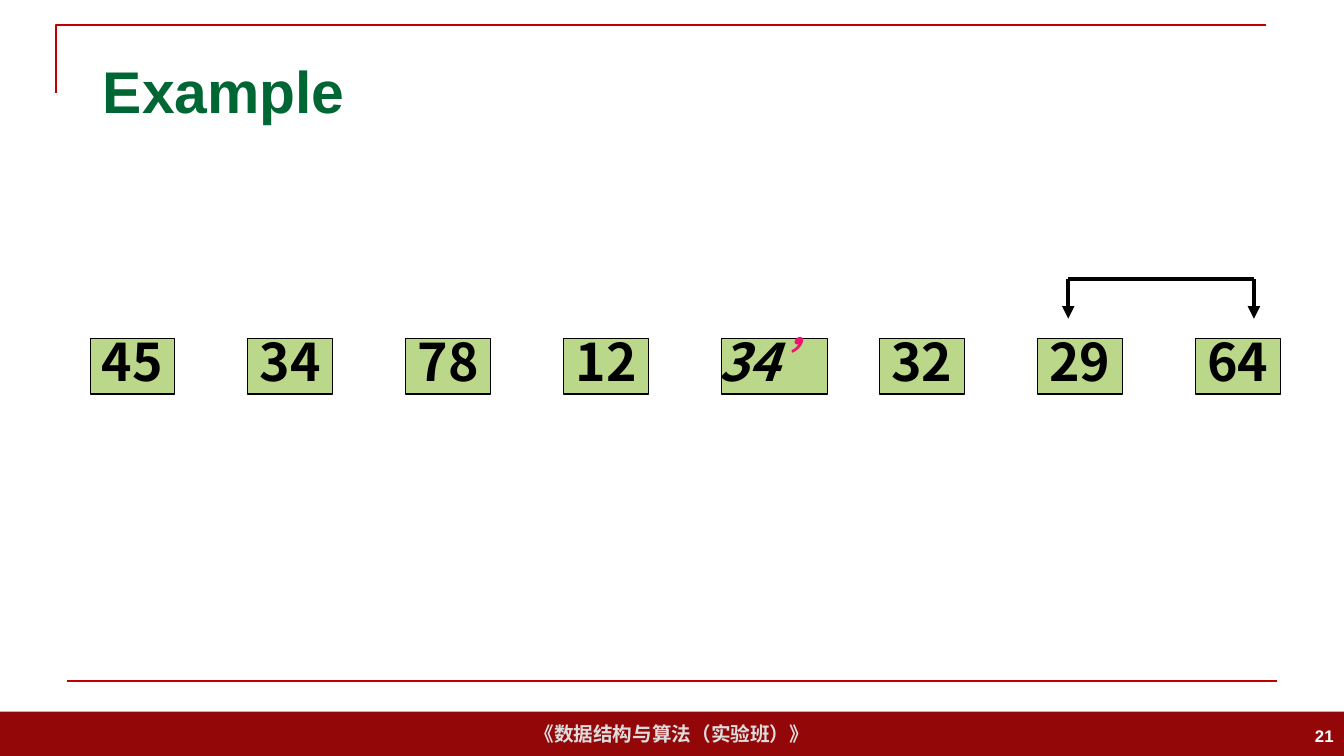
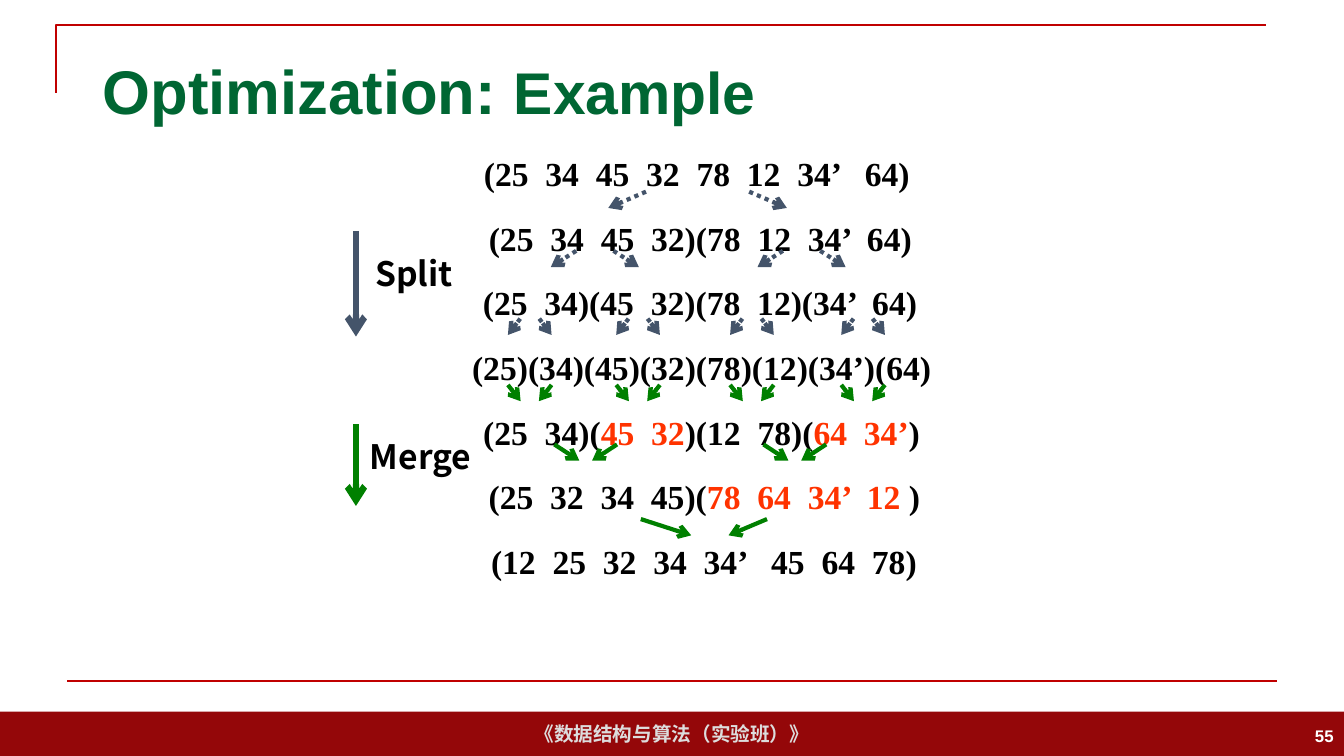
import dataclasses

import lxml.etree
import pptx
import pptx.dml.color
import pptx.enum.dml
import pptx.enum.shapes
import pptx.enum.text
import pptx.oxml.ns
import pptx.util

Cm = pptx.util.Cm
Pt = pptx.util.Pt
ALIGN = pptx.enum.text.PP_ALIGN
MIDDLE = pptx.enum.text.MSO_ANCHOR.MIDDLE
qn = pptx.oxml.ns.qn


@dataclasses.dataclass(frozen=True)
class Theme:
    sans: str = "Arial"
    serif: str = "Times New Roman"
    label: str = "Noto Sans CJK SC"
    black: str = "000000"
    white: str = "FFFFFF"
    band: str = "940709"
    rule: str = "C00000"
    title: str = "006633"
    foot: str = "DDDDDD"
    cell: str = "BBD789"
    prime: str = "ED1370"
    split: str = "44546A"
    merge: str = "008000"
    swap: str = "FF3300"
    head_size: int = 42
    lead_size: int = 44
    cell_size: int = 37
    row_size: int = 24
    foot_size: int = 14
    page_size: int = 12


LOOK = Theme()


def tint(code):
    return pptx.dml.color.RGBColor.from_string(code)


def say(frame, text, font=LOOK.sans, size=LOOK.row_size, color=LOOK.black,
        align=ALIGN.CENTER, slant=None, space=None, wrap=True):
    frame.word_wrap = wrap
    frame.auto_size = pptx.enum.text.MSO_AUTO_SIZE.NONE
    frame.vertical_anchor = MIDDLE
    line = frame.paragraphs[0]
    line.alignment = align
    line.line_spacing = space
    for part in [(text, {})] if isinstance(text, str) else text:
        words, own = part
        run = line.add_run()
        run.text = words
        run.font.bold = True
        run.font.italic = slant
        run.font.size = Pt(own.get("size", size))
        run.font.color.rgb = tint(own.get("color", color))
        run.font.name = font
        east = lxml.etree.SubElement(run.font._element, qn("a:ea"))
        east.set("typeface", font)


def add_text(slide, text, left, top, width, height, **form):
    box = slide.shapes.add_textbox(Cm(left), Cm(top), Cm(width), Cm(height))
    say(box.text_frame, text, **form)
    return box


def add_box(slide, left, top, width, height, fill, edge=None):
    kind = pptx.enum.shapes.MSO_SHAPE.RECTANGLE
    box = slide.shapes.add_shape(kind, Cm(left), Cm(top), Cm(width), Cm(height))
    box.shadow.inherit = False
    box.fill.solid()
    box.fill.fore_color.rgb = tint(fill)
    if edge:
        box.line.color.rgb = tint(edge)
        box.line.width = Pt(0.75)
    else:
        box.line.fill.background()
    return box


def add_line(slide, start, end, color, width, head=None, dots=False):
    kind = pptx.enum.shapes.MSO_CONNECTOR.STRAIGHT
    line = slide.shapes.add_connector(kind, *map(Cm, start + end))
    line.line.color.rgb = tint(color)
    line.line.width = Pt(width)
    if dots:
        line.line.dash_style = pptx.enum.dml.MSO_LINE.ROUND_DOT
    props = line.element.spPr
    if head:
        tail = lxml.etree.SubElement(props.find(qn("a:ln")), qn("a:tailEnd"))
        tail.set("type", head)
    lxml.etree.SubElement(props, qn("a:effectLst"))
    return line


def add_edge(slide):
    pen = slide.shapes.build_freeform(Cm(1.42), Cm(2.34))
    pen.add_line_segments(
        [(Cm(1.42), Cm(0.64)), (Cm(31.9), Cm(0.64))], close=False)
    edge = pen.convert_to_shape()
    edge.shadow.inherit = False
    edge.fill.background()
    edge.line.color.rgb = tint(LOOK.rule)
    edge.line.width = Pt(1.5)
    return edge


def set_layout(deck, layout):
    for holder in list(layout.placeholders):
        if holder.placeholder_format.idx:
            holder.element.getparent().remove(holder.element)
    title = layout.placeholders[0]
    title.left, title.top = Cm(2.34), Cm(1.02)
    title.width, title.height = Cm(29.21), Cm(2.51)

    draft = deck.slides.add_slide(layout)
    band = add_box(draft, 0, 17.93, 33.87, 1.12, LOOK.band)
    say(band.text_frame, "《数据结构与算法（实验班）》", size=LOOK.foot_size,
        color=LOOK.foot, wrap=False)
    rule = add_line(draft, (1.7, 17.15), (32.18, 17.15), LOOK.rule, 1.5)
    for part in (band, add_edge(draft), rule):
        layout.shapes.element.append(part.element)
    return draft


def set_head(slide, title, page):
    say(slide.shapes.title.text_frame, title, size=LOOK.head_size,
        color=LOOK.title, align=ALIGN.LEFT)
    add_text(slide, page, 26.24, 18.03, 7.62, 1.02, size=LOOK.page_size,
             color=LOOK.white, align=ALIGN.RIGHT)


def add_cells(slide):
    prime = [("34", {}), ("’", {"color": LOOK.prime})]
    cells = ["45", "34", "78", "12", prime, "32", "29", "64"]
    for spot, text in enumerate(cells):
        wide = text is prime
        box = add_box(slide, 2.27 + 3.98 * spot, 8.53, 2.67 if wide else 2.13,
                      1.4, LOOK.cell, LOOK.black)
        say(box.text_frame, text, font=LOOK.label, size=LOOK.cell_size,
            slant=wide, space=0.8, wrap=False)


def add_swap(slide, left, right, top, foot):
    add_line(slide, (left, top), (right, top), LOOK.black, 3)
    for side in (left, right):
        add_line(slide, (side, top), (side, foot), LOOK.black, 3, "triangle")


def add_fan(slide, top, mids, start, end, color, lean=0):
    for mid in mids:
        for side in (-1, 1):
            add_line(slide, (mid + side * start, top),
                     (mid + lean + side * end, top + 0.41), color, 3,
                     "arrow", color == LOOK.split)


def add_rows(slide):
    swap = {"color": LOOK.swap}
    rows = [
        (17.56, "(25  34  45  32  78  12  34’   64)"),
        (17.65, "(25  34  45  32)(78  12  34’  64)"),
        (17.64, "(25  34)(45  32)(78  12)(34’  64)"),
        (17.68, "(25)(34)(45)(32)(78)(12)(34’)(64)"),
        (17.68, [("(25  34)(", {}), ("45  32", swap), (")(12  78)(", {}),
                 ("64  34’", swap), (")", {})]),
        (17.75, [("(25  32  34  45)(", {}), ("78  64  34’  12", swap),
                 (" )", {})]),
        (17.74, "(12  25  32  34  34’   45  64  78)"),
    ]
    for step, (mid, text) in enumerate(rows):
        add_text(slide, text, mid - 6.5, 3.71 + 1.63 * step, 13, 1.3,
                 font=LOOK.serif)


def add_fans(slide):
    pairs = (13.35, 16.08, 18.95, 21.75)
    add_fan(slide, 4.83, (17.58,), 1.3, 2.25, LOOK.split)
    add_fan(slide, 6.32, (14.99, 20.2), 0.47, 1.11, LOOK.split)
    add_fan(slide, 8.03, pairs, 0.24, 0.55, LOOK.split)
    add_fan(slide, 9.7, pairs, 0.55, 0.23, LOOK.merge)
    add_fan(slide, 11.2, (14.76, 20.03), 0.79, 0.16, LOOK.merge)
    add_fan(slide, 13.08, (17.74,), 1.59, 0.47, LOOK.merge, lean=0.15)


def add_phase(slide, text, mid, top, start, end, color):
    add_text(slide, text, mid - 2.4, top, 4.8, 1.07, font=LOOK.label, space=0.8)
    add_line(slide, (8.97, start), (8.97, end), color, 4.5, "arrow")


def main():
    deck = pptx.Presentation()
    deck.slide_width, deck.slide_height = Cm(33.87), Cm(19.05)
    layout = deck.slide_layouts[5]

    first = set_layout(deck, layout)
    set_head(first, "Example", "21")
    add_cells(first)
    add_swap(first, 26.92, 31.6, 7.04, 8.03)

    second = deck.slides.add_slide(layout)
    set_head(second, [("Optimization: ", {"size": LOOK.lead_size}),
                      ("Example", {})], "55")
    add_rows(second)
    add_fans(second)
    add_phase(second, "Split", 10.43, 6.43, 5.82, 8.48, LOOK.split)
    add_phase(second, "Merge", 10.6, 11.05, 10.69, 12.75, LOOK.merge)

    deck.save("out.pptx")


if __name__ == "__main__":
    main()
